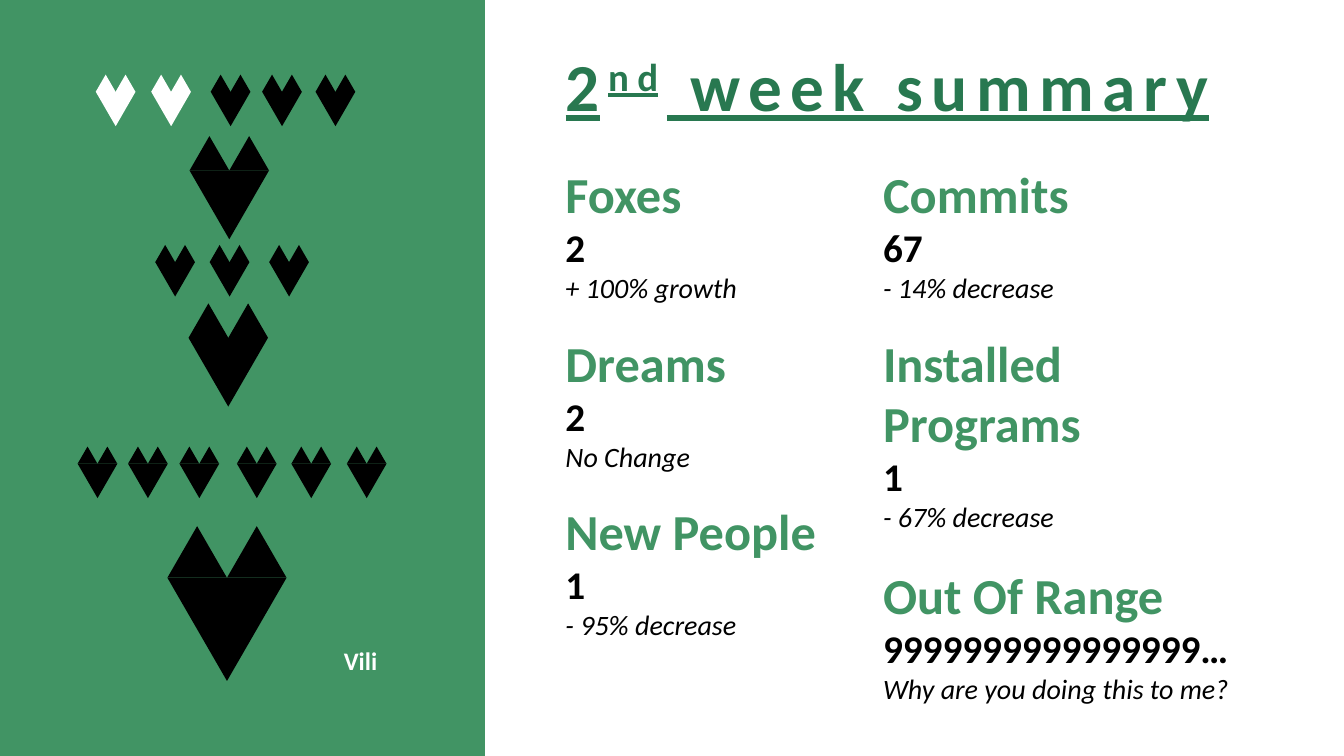
from pptx import Presentation
from pptx.dml.color import RGBColor
from pptx.enum.shapes import MSO_SHAPE
from pptx.enum.text import MSO_ANCHOR, MSO_AUTO_SIZE, PP_ALIGN
from pptx.util import Inches, Pt

GREEN = RGBColor(0x41, 0x94, 0x64)
DARK_GREEN = RGBColor(0x28, 0x78, 0x50)
BLACK = RGBColor(0, 0, 0)
WHITE = RGBColor(0xFF, 0xFF, 0xFF)


class SummarySlide:
    """Holds the style and the slide that is being filled."""

    FONT = "Calibri"
    HEART_WIDTH = 0.394
    LOBE_RATIO = 0.433  # height of a heart's lobe relative to the heart's width

    def __init__(self, presentation):
        self.slide = presentation.slides.add_slide(presentation.slide_layouts[5])
        self.shapes = self.slide.shapes

    def set_font(self, paragraph, size, color, bold=True, italic=False):
        font = paragraph.font
        font.name, font.size = self.FONT, Pt(size)
        font.bold, font.italic = bold, italic
        font.color.rgb = color

    def place(self, shape, left, top, width, height):
        shape.left, shape.top = Inches(left), Inches(top)
        shape.width, shape.height = Inches(width), Inches(height)

    def title(self, parts, left, top, width, height):
        """Write (text, baseline) parts as one spaced, underlined heading."""
        title = self.shapes.title
        self.place(title, left, top, width, height)
        frame = title.text_frame
        frame.auto_size = MSO_AUTO_SIZE.NONE
        frame.vertical_anchor = MSO_ANCHOR.TOP
        heading = frame.paragraphs[0]
        heading.alignment = PP_ALIGN.LEFT
        self.set_font(heading, 48, DARK_GREEN)
        heading.font.underline = True
        for text, baseline in parts:
            run = heading.add_run()
            run.text = text
            properties = run.font._element
            properties.set("spc", "600")
            if baseline:
                properties.set("baseline", str(baseline * 1000))

    def fill_shape(self, kind, color, left, top, width, height, shapes=None):
        shape = (shapes or self.shapes).add_shape(
            kind, Inches(left), Inches(top), Inches(width), Inches(height))
        shape.shadow.inherit = False
        shape.fill.solid()
        shape.fill.fore_color.rgb = color
        shape.line.fill.background()
        return shape

    def heart(self, left, top, scale, color):
        """Group two lobes over a triangle that points down."""
        width = self.HEART_WIDTH * scale
        lobe = width * self.LOBE_RATIO
        parts = self.shapes.add_group_shape().shapes
        point = self.fill_shape(MSO_SHAPE.ISOSCELES_TRIANGLE, color,
                                left, top + lobe, width, 2 * lobe, parts)
        point.rotation = 180
        for lobe_left in (left, left + width / 2):
            self.fill_shape(MSO_SHAPE.ISOSCELES_TRIANGLE, color,
                            lobe_left, top, width / 2, lobe, parts)

    def text_frame(self, left, top, width, height):
        box = self.shapes.add_textbox(
            Inches(left), Inches(top), Inches(width), Inches(height))
        frame = box.text_frame
        frame.word_wrap = True
        frame.auto_size = MSO_AUTO_SIZE.SHAPE_TO_FIT_TEXT
        return frame

    def statistics(self, entries, left, top, width, height):
        """Stack (gap before, name, value, remark) entries in one column."""
        frame = self.text_frame(left, top, width, height)
        paragraph = frame.paragraphs[0]
        for gap, name, value, remark in entries:
            if gap:
                paragraph = frame.add_paragraph()
                paragraph.space_before = Pt(gap)
            paragraph.text = name
            self.set_font(paragraph, 36, GREEN)
            for text, size, is_remark in ((value, 28, False), (remark, 20, True)):
                paragraph = frame.add_paragraph()
                paragraph.text = text
                self.set_font(paragraph, size, BLACK, not is_remark, is_remark)

    def signature(self, text, left, top, width, height):
        paragraph = self.text_frame(left, top, width, height).paragraphs[0]
        paragraph.text = text
        paragraph.alignment = PP_ALIGN.RIGHT
        self.set_font(paragraph, 18, WHITE)


presentation = Presentation()
presentation.slide_width = Inches(13.33)
presentation.slide_height = Inches(7.5)
summary = SummarySlide(presentation)

# Green side panel
summary.fill_shape(MSO_SHAPE.RECTANGLE, GREEN, 0, 0, 4.81, 7.5)

# Hearts: top, scale, colour and left edges of each row
heart_rows = [
    (0.74, 1, WHITE, (0.95, 1.5)),
    (0.74, 1, BLACK, (2.09, 2.6, 3.13)),
    (1.35, 2, BLACK, (1.88,)),
    (2.43, 1, BLACK, (1.54, 2.08, 2.67)),
    (3.01, 2, BLACK, (1.87,)),
    (4.43, 1, BLACK, (0.77, 1.27, 1.78, 2.35, 2.89, 3.44)),
    (5.22, 3, BLACK, (1.66,)),
]
for top, scale, color, lefts in heart_rows:
    for left in lefts:
        summary.heart(left, top, scale, color)
summary.signature("Vili", 2.92, 6.35, 0.92, 0.4)

# Heading
summary.title([("2", 0), ("nd", 30), (" week summary", 0)], 5.51, 0.39, 7.01, 0.91)

# Statistics of the week
summary.statistics([
    (0, "Foxes", "2", "+ 100% growth"),
    (19.5, "Dreams", "2", "No Change"),
    (19.5, "New People", "1", "- 95% decrease"),
], 5.51, 1.57, 2.95, 4.88)
summary.statistics([
    (0, "Commits", "67", "- 14% decrease"),
    (19.5, "Installed Programs", "1", "- 67% decrease"),
    (22, "Out Of Range", "9999999999999999…", "Why are you doing this to me?"),
], 8.66, 1.57, 3.86, 4.91)

presentation.save("out.pptx")
